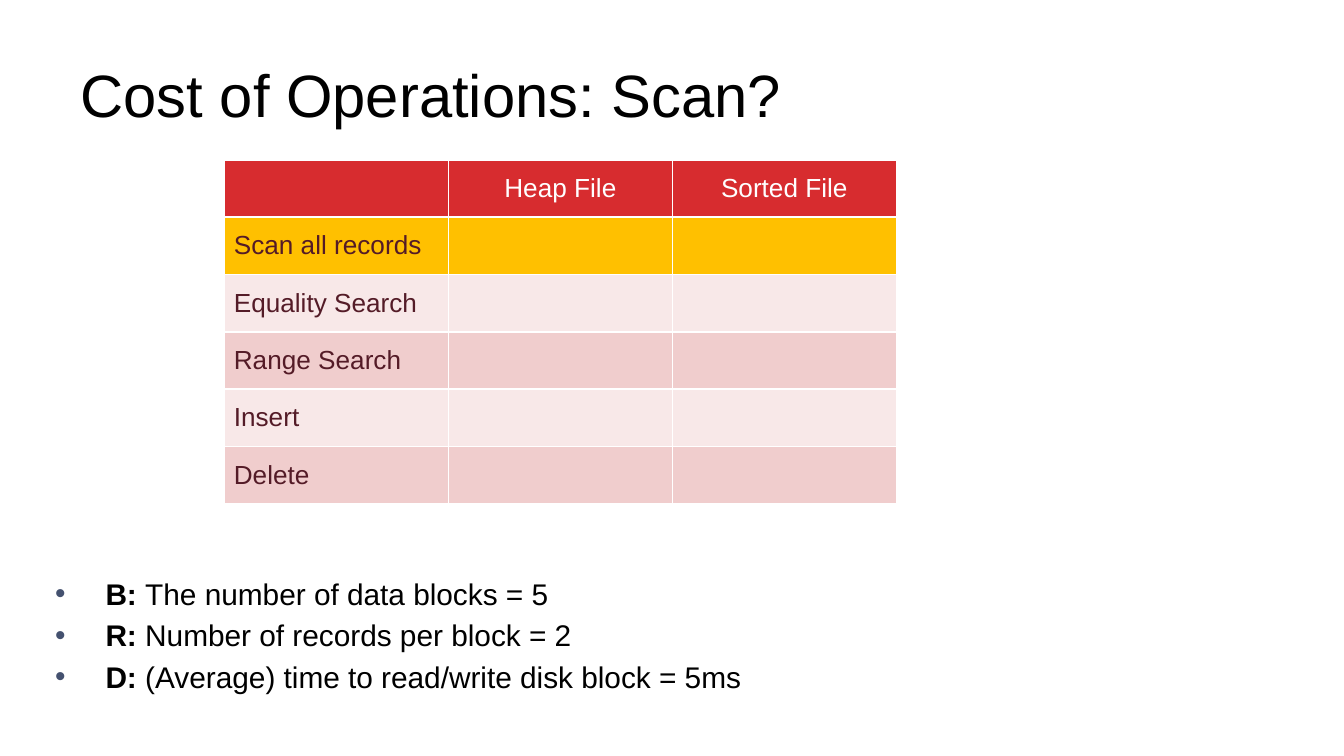
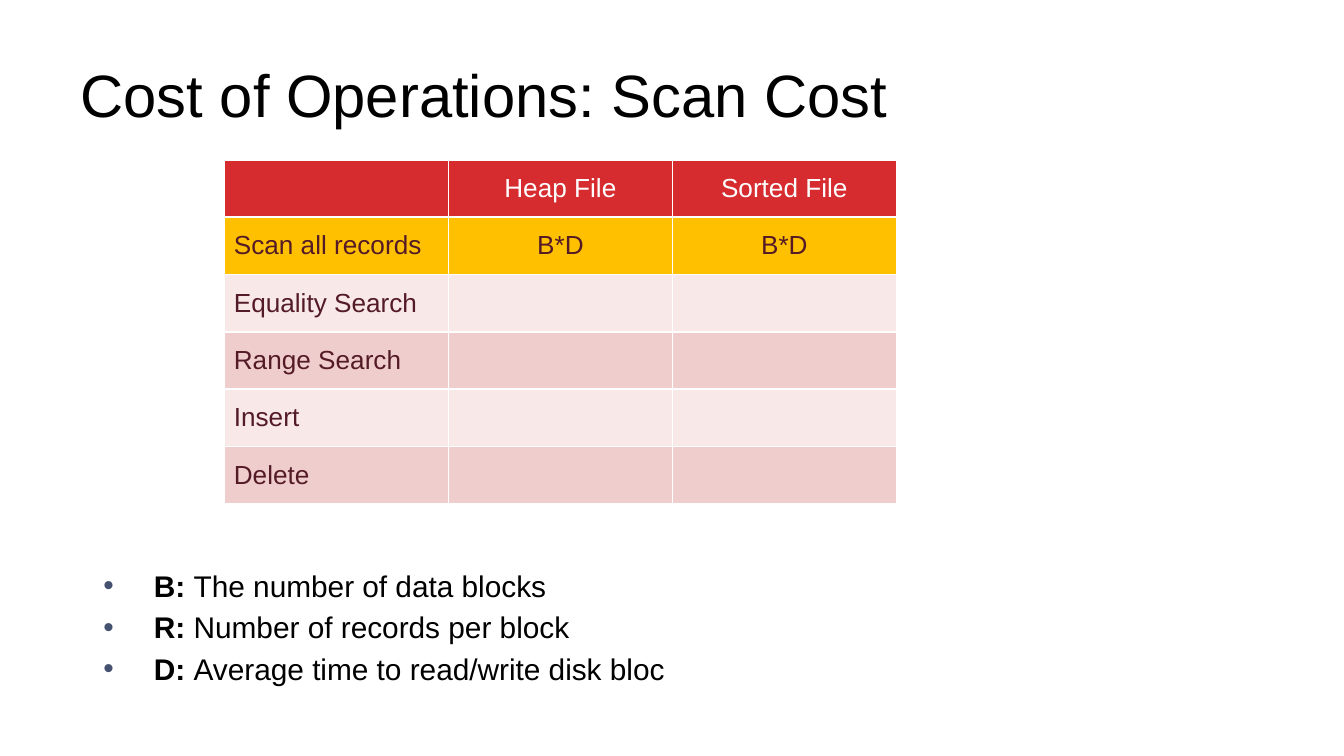
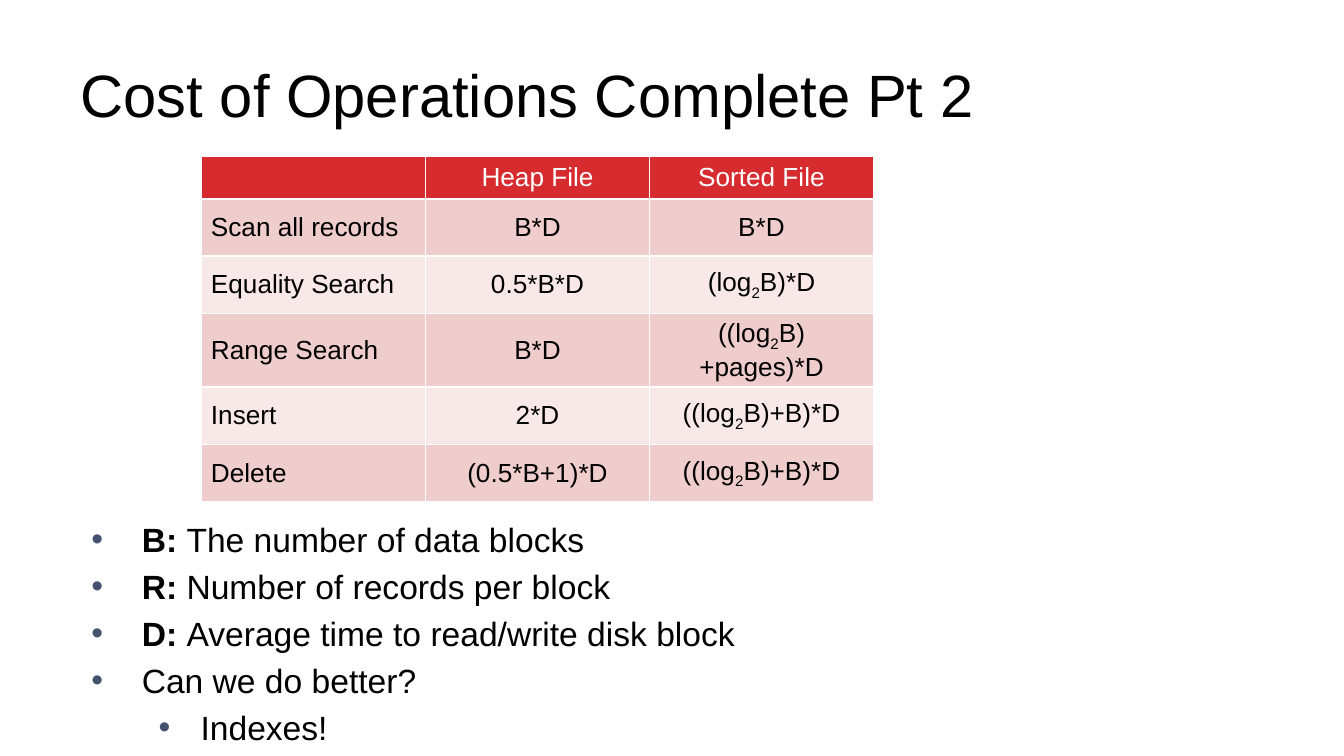
from lxml import etree
from pptx import Presentation
from pptx.dml.color import RGBColor
from pptx.enum.text import MSO_ANCHOR, MSO_AUTO_SIZE, PP_ALIGN
from pptx.oxml.ns import qn
from pptx.util import Inches, Pt

LEFT, CENTER = PP_ALIGN.LEFT, PP_ALIGN.CENTER
MIDDLE, FIXED = MSO_ANCHOR.MIDDLE, MSO_AUTO_SIZE.NONE

FONT = "Arial"
BLACK, WHITE, WINE = "000000", "FFFFFF", "541B27"
RED, GOLD, DOT = "D72C2F", "FFC000", "44516F"
BANDS = ["F8E8E8", "F0CDCD"]

WIDE = 10
HIGH = WIDE * 9 / 16
TITLE = (0.5, 0.23, 9, 0.94)
BODY = (9, 3.71)
GRID, ROW = 5, 2.56 / 6
PAD = {"margin_left": 0.07, "margin_right": 0.07,
       "margin_top": 0.04, "margin_bottom": 0.04}

HEADS = ["", "Heap File", "Sorted File"]
TASKS = ["Scan all records", "Equality Search", "Range Search", "Insert", "Delete"]
BLANK = ("", "")
SCAN = ("B*D", "B*D")

SLIDES = [
    {
        "title": "Cost of Operations: Scan?",
        "costs": [BLANK] * 5,
        "grid": (1.67, 1.19), "head": ROW, "ink": WINE, "mark": 1,
        "body": (0.31, 4.23), "size": 16,
        "notes": [
            (0, "B: ", "The number of data blocks = 5"),
            (0, "R: ", "Number of records per block = 2"),
            (0, "D: ", "(Average) time to read/write disk block = 5ms"),
        ],
    },
    {
        "title": "Cost of Operations: Scan Cost",
        "costs": [SCAN] + [BLANK] * 4,
        "grid": (1.67, 1.19), "head": ROW, "ink": WINE, "mark": 1,
        "body": (0.67, 4.17), "size": 16,
        "notes": [
            (0, "B: ", "The number of data blocks"),
            (0, "R: ", "Number of records per block"),
            (0, "D: ", "Average time to read/write disk bloc"),
        ],
    },
    {
        "title": "Cost of Operations Complete Pt 2",
        "costs": [
            SCAN,
            ("0.5*B*D", "(log_2_B)*D"),
            ("B*D", "((log_2_B)+pages)*D"),
            ("2*D", "((log_2_B)+B)*D"),
            ("(0.5*B+1)*D", "((log_2_B)+B)*D"),
        ],
        "grid": (1.5, 1.16), "head": 0.32, "ink": BLACK, "mark": None,
        "body": (0.58, 3.81), "size": 18,
        "notes": [
            (0, "B: ", "The number of data blocks"),
            (0, "R: ", "Number of records per block"),
            (0, "D: ", "Average time to read/write disk block"),
            (0, "", "Can we do better?"),
            (1, "", "Indexes!"),
        ],
    },
]


def color(code):
    return RGBColor.from_string(code)


def place(shape, *box):
    for name, size in zip(("left", "top", "width", "height"), box):
        setattr(shape, name, Inches(size))


def write(para, text, size, ink=BLACK, bold=False):
    run = para.add_run()
    run.text = text
    look = {"name": FONT, "size": Pt(size), "bold": bold}
    for name, value in look.items():
        setattr(run.font, name, value)
    run.font.color.rgb = color(ink)
    return run


def bullet(para):
    props = para._p.get_or_add_pPr()
    tint = etree.SubElement(props, qn("a:buClr"))
    etree.SubElement(tint, qn("a:srgbClr"), val=DOT)
    etree.SubElement(props, qn("a:buFont"), typeface=FONT)
    etree.SubElement(props, qn("a:buChar"), char="•")


def add_title(slide, text):
    shape = slide.shapes.title
    place(shape, *TITLE)
    frame = shape.text_frame
    frame.auto_size, frame.vertical_anchor = FIXED, MIDDLE
    para = frame.paragraphs[0]
    para.alignment = LEFT
    write(para, text, 32)


def add_notes(slide, page):
    shape = slide.placeholders[1]
    place(shape, *page["body"], *BODY)
    frame = shape.text_frame
    frame.auto_size = FIXED
    for i, (level, key, text) in enumerate(page["notes"]):
        para = frame.add_paragraph() if i else frame.paragraphs[0]
        para.level = level
        bullet(para)
        if key:
            write(para, key, page["size"], bold=True)
        write(para, text, page["size"])


def fill_cell(cell, text, fill, ink, align):
    for name, size in PAD.items():
        setattr(cell, name, Inches(size))
    cell.vertical_anchor = MIDDLE
    cell.fill.solid()
    cell.fill.fore_color.rgb = color(fill)
    para = cell.text_frame.paragraphs[0]
    para.alignment = align
    if not text:
        etree.SubElement(para._p, qn("a:endParaRPr"), sz="1400")
        return
    for i, part in enumerate(text.split("_")):
        run = write(para, part, 14, ink)
        if i % 2:
            run.font._element.set("baseline", "-25000")


def add_grid(slide, page):
    rows = [HEADS] + [[task, *cost] for task, cost in zip(TASKS, page["costs"])]
    sizes = [page["head"]] + [ROW] * len(TASKS)
    box = [Inches(x) for x in (*page["grid"], GRID, sum(sizes))]
    table = slide.shapes.add_table(len(rows), len(HEADS), *box).table
    for col in table.columns:
        col.width = Inches(GRID / len(HEADS))
    for r, (row, size) in enumerate(zip(rows, sizes)):
        table.rows[r].height = Inches(size)
        fill = RED if r == 0 else GOLD if r == page["mark"] else BANDS[r % 2]
        ink = page["ink"] if r else WHITE
        for c, text in enumerate(row):
            fill_cell(table.cell(r, c), text, fill, ink, CENTER if c else LEFT)


def main():
    deck = Presentation()
    deck.slide_width, deck.slide_height = Inches(WIDE), Inches(HIGH)
    for page in SLIDES:
        slide = deck.slides.add_slide(deck.slide_layouts[1])
        add_title(slide, page["title"])
        add_notes(slide, page)
        add_grid(slide, page)
    deck.save("out.pptx")


if __name__ == "__main__":
    main()
